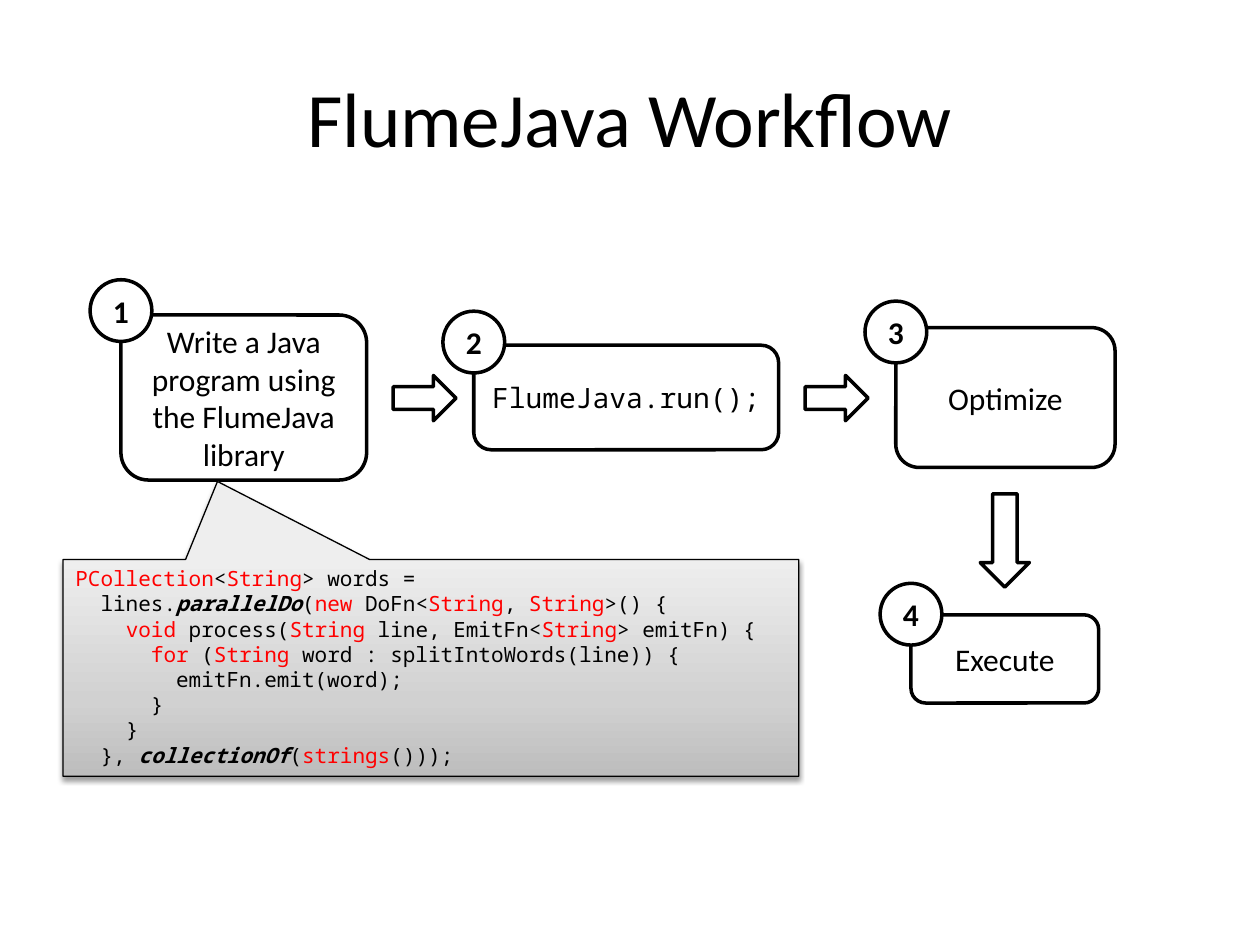
"""Builds the FlumeJava Workflow slide on a grid of 100 columns by 75 rows."""
import pptx
import pptx.util
import pptx.oxml
import pptx.oxml.ns
import pptx.dml.color
import pptx.enum.shapes
import pptx.enum.text

HUES = {"ink": "000000", "page": "FFFFFF", "key": "FF0000",
        "dark": "BDBDBD", "mid": "D1D1D1", "pale": "EEEEEE"}
SANS, MONO = "Calibri", "Noto Sans Mono"
kinds = pptx.enum.shapes.MSO_SHAPE
align = pptx.enum.text.PP_ALIGN
mid = pptx.enum.text.MSO_ANCHOR.MIDDLE

deck = pptx.Presentation()
deck.slide_width = pptx.util.Inches(10)
deck.slide_height = pptx.util.Inches(7.5)
unit = deck.slide_width // 100
slide = deck.slides.add_slide(deck.slide_layouts[6])


def write(para, text, size, font=SANS, hue="ink", bold=False, slant=False):
    run = para.add_run()
    run.text = text
    run.font.size = pptx.util.Pt(size)
    run.font.name = font
    run.font.bold = bold
    run.font.italic = slant
    run.font.color.rgb = pptx.dml.color.RGBColor.from_string(HUES[hue])


def draw(kind, left, top, wide, high, line=2):
    shape = slide.shapes.add_shape(kind, *(int(n * unit) for n in (left, top, wide, high)))
    shape.shadow.inherit = False
    shape.fill.solid()
    shape.fill.fore_color.rgb = pptx.dml.color.RGBColor.from_string(HUES["page"])
    shape.line.color.rgb = pptx.dml.color.RGBColor.from_string(HUES["ink"])
    shape.line.width = pptx.util.Pt(line)
    frame = shape.text_frame
    frame.word_wrap = True
    frame.vertical_anchor = mid
    frame.paragraphs[0].alignment = align.CENTER
    return shape


title = slide.shapes.add_textbox(5 * unit, 3 * unit, 90 * unit, int(12.5 * unit)).text_frame
title.word_wrap = True
title.vertical_anchor = mid
title.paragraphs[0].alignment = align.CENTER
write(title.paragraphs[0], "FlumeJava Workflow", 44)

steps = [
    (9.6, 25, 19.5, 13.1, 24.65, "Write a Java program using the FlumeJava library", 18, SANS),
    (37.6, 27.4, 24.2, 8.3, 27.15, "FlumeJava.run();", 16, MONO),
    (71.1, 26, 17.4, 11.1, 26.35, "Optimize", 18, SANS),
    (72.3, 48.8, 14.9, 7, 48.75, "Execute", 18, SANS),
]
for left, top, wide, high, hub, text, size, font in steps:
    frame = draw(kinds.ROUNDED_RECTANGLE, left, top, wide, high).text_frame
    frame.margin_left = frame.margin_right = unit // 2
    write(frame.paragraphs[0], text, size, font)

for left in (31.2, 63.9):
    draw(kinds.RIGHT_ARROW, left, 29.8, 5, 3.6)
draw(kinds.DOWN_ARROW, 77.8, 39.2, 3.9, 7.4)

disc = 4.9
for count, step in enumerate(steps, 1):
    badge = draw(kinds.OVAL, step[0] - disc / 2, step[4] - disc / 2, disc, disc)
    badge.text_frame.margin_left = badge.text_frame.margin_right = unit // 2
    write(badge.text_frame.paragraphs[0], str(count), 18, bold=True)

note = draw(kinds.RECTANGULAR_CALLOUT, 5, 44.4, 58.4, 17.2, 0.75)
note.adjustments[0], note.adjustments[1] = -0.29, -0.86
note.fill.gradient()
note.fill.gradient_angle = 90
space = pptx.oxml.ns.nsdecls("a")
stops = note.fill._xPr.find(".//" + pptx.oxml.ns.qn("a:gsLst"))
for stop in list(stops):
    stops.remove(stop)
for share, hue in ((0, "dark"), (35, "mid"), (100, "pale")):
    stops.append(pptx.oxml.parse_xml(
        f'<a:gs {space} pos="{share * 1000}"><a:srgbClr val="{HUES[hue]}"/></a:gs>'))
glow = note.fill._xPr.find(pptx.oxml.ns.qn("a:effectLst"))
glow.append(pptx.oxml.parse_xml(
    f'<a:outerShdw {space} blurRad="40000" dist="20000" dir="5400000" rotWithShape="0">'
    f'<a:srgbClr val="{HUES["ink"]}"><a:alpha val="38000"/></a:srgbClr></a:outerShdw>'))

styles = {"plain": {}, "key": {"hue": "key"}, "call": {"bold": True, "slant": True}}
code = [
    (0, [("PCollection", "key"), ("<", "plain"), ("String", "key"), ("> words =", "plain")]),
    (1, [("lines.", "plain"), ("parallelDo", "call"), ("(", "plain"), ("new ", "key"),
         ("DoFn<", "plain"), ("String", "key"), (", ", "plain"), ("String", "key"),
         (">() {", "plain")]),
    (2, [("void", "key"), (" process(", "plain"), ("String", "key"),
         (" line, EmitFn<", "plain"), ("String", "key"), ("> emitFn) {", "plain")]),
    (3, [("for", "key"), (" (", "plain"), ("String", "key"),
         (" word : splitIntoWords(line)) {", "plain")]),
    (4, [("emitFn.emit(word);", "plain")]),
    (3, [("}", "plain")]),
    (2, [("}", "plain")]),
    (1, [("}, ", "plain"), ("collectionOf", "call"), ("(", "plain"), ("strings", "key"),
         ("()));", "plain")]),
]
frame = note.text_frame
frame.auto_size = pptx.enum.text.MSO_AUTO_SIZE.SHAPE_TO_FIT_TEXT
frame.vertical_anchor = pptx.enum.text.MSO_ANCHOR.TOP
for row, (depth, parts) in enumerate(code):
    para = frame.add_paragraph() if row else frame.paragraphs[0]
    para.alignment = align.LEFT
    para._p.get_or_add_pPr().set("marL", str(depth * 2 * unit))
    for text, style in parts:
        write(para, text, 12, MONO, **styles[style])

deck.save("out.pptx")
